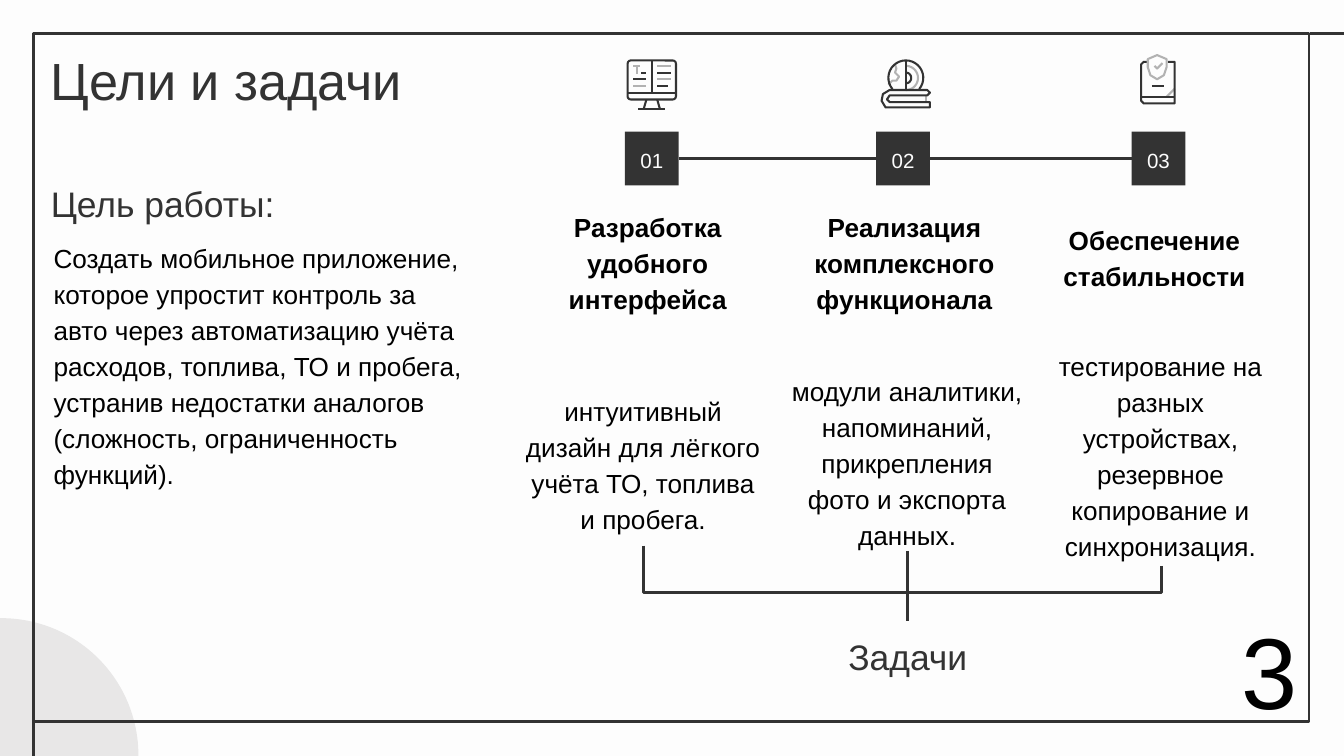
from math import cos, radians, sin

from lxml.etree import SubElement
from pptx import Presentation
from pptx.dml.color import RGBColor
from pptx.enum.shapes import MSO_CONNECTOR as Connector, MSO_SHAPE as Shape
from pptx.enum.text import MSO_ANCHOR as Anchor, PP_ALIGN as Align
from pptx.oxml.ns import qn
from pptx.util import Inches, Pt

DARK = RGBColor(0x33, 0x33, 0x33)
GRAY = RGBColor(0xB2, 0xB2, 0xB2)
PALE = RGBColor(0xE8, 0xE7, 0xE7)
PAPER = RGBColor(0xFD, 0xFD, 0xFD)
BLACK = RGBColor(0, 0, 0)
FONT = "Arial"
FRAME_WIDTH, ICON_WIDTH = 1.5, 1.1
SLIDE_WIDTH = 10
SLIDE_HEIGHT = SLIDE_WIDTH * 9 / 16
NBSP = chr(160)  # keeps two words on one line

GOAL = (f"Создать мобильное приложение, которое{NBSP}упростит контроль за "
        f"авто{NBSP}через автоматизацию учёта расходов, топлива, ТО и пробега, "
        "устранив недостатки аналогов (сложность, ограниченность функций).")

# number, square left, heading and its place, details and their place
TASKS = [
    ("01", 4.65, "Разработка удобного интерфейса", (3.97, 1.99, 1.7, 0.45),
     "интуитивный дизайн для лёгкого учёта ТО, топлива и пробега.",
     (3.81, 2.81, 1.95, 1.25)),
    ("02", 6.52, "Реализация комплексного функционала", (5.88, 1.99, 1.7, 0.45),
     "модули аналитики, напоминаний, прикрепления фото и экспорта данных.",
     (5.77, 2.66, 1.96, 1.44)),
    ("03", 8.42, "Обеспечение стабильности", (7.74, 1.82, 1.7, 0.45),
     "тестирование на разных устройствах, резервное копирование и синхронизация.",
     (7.65, 2.47, 1.97, 1.74)),
]


def inches(values):
    return [Inches(value) for value in values]


def write(shape, text, size, color, align=Align.LEFT, anchor=Anchor.TOP,
          bold=False, spacing=1.15, inset=0.1, wrap=True):
    frame = shape.text_frame
    frame.word_wrap = wrap
    frame.vertical_anchor = anchor
    frame.margin_left = frame.margin_right = Inches(0.1)
    frame.margin_top = frame.margin_bottom = Inches(inset)
    paragraph = frame.paragraphs[0]
    paragraph.alignment = align
    paragraph.line_spacing = spacing
    run = paragraph.add_run()
    run.text = text
    run.font.name, run.font.size, run.font.bold = FONT, Pt(size), bold
    run.font.color.rgb = color


def add_text(slide, box, text, size, color, **options):
    write(slide.shapes.add_textbox(*inches(box)), text, size, color, **options)


def style(shape, fill=None, line=None, width=FRAME_WIDTH):
    shape.shadow.inherit = False
    if fill is None:
        shape.fill.background()
    else:
        shape.fill.solid()
        shape.fill.fore_color.rgb = fill
    if line is None:
        shape.line.fill.background()
    else:
        shape.line.color.rgb = line
        shape.line.width = Pt(width)


def add_preset(slide, kind, box, **look):
    shape = slide.shapes.add_shape(kind, *inches(box))
    style(shape, **look)
    return shape


def add_line(slide, start, end, color=DARK, width=FRAME_WIDTH,
             kind=Connector.STRAIGHT):
    line = slide.shapes.add_connector(kind, *inches(start + end))
    line.line.color.rgb = color
    line.line.width = Pt(width)
    SubElement(line._element.spPr, qn("a:effectLst"))
    return line


def add_bracket(slide, start, end, bend_y):
    """Elbow that leaves downwards, runs level at bend_y and ends downwards."""
    (x1, y1), (x2, y2) = start, end
    length, spread = y2 - y1, abs(x2 - x1)
    elbow = add_line(slide, (0, 0), (length, spread), kind=Connector.ELBOW)
    elbow.left = Inches((x1 + x2 - length) / 2)
    elbow.top = Inches((y1 + y2 - spread) / 2)
    properties = elbow._element.spPr
    transform = properties.find(qn("a:xfrm"))
    rightwards = x2 > x1
    transform.set("rot", str((270 if rightwards else 90) * 60000))
    if rightwards:
        transform.set("flipH", "1")
    geometry = properties.find(qn("a:prstGeom"))
    guides = geometry.find(qn("a:avLst"))
    if guides is None:
        guides = SubElement(geometry, qn("a:avLst"))
    share = round((bend_y - y1) / length * 100000)
    SubElement(guides, qn("a:gd"), name="adj1", fmla=f"val {share}")


def add_stroke(slide, points, color=DARK, close=False):
    """Thin icon stroke through the points."""
    if len(points) == 2:
        add_line(slide, *points, color=color, width=ICON_WIDTH)
        return
    places = [inches(point) for point in points]
    builder = slide.shapes.build_freeform(*places[0], scale=1.0)
    builder.add_line_segments(places[1:], close=close)
    style(builder.convert_to_shape(), line=color, width=ICON_WIDTH)


def arc(x, y, radius, start, end, steps=24):
    angles = [radians(start + (end - start) * i / steps) for i in range(steps + 1)]
    return [(x + radius * cos(a), y + radius * sin(a)) for a in angles]


def draw_monitor_icon(slide):
    screen = add_preset(slide, Shape.ROUNDED_RECTANGLE, (4.67, 0.45, 0.36, 0.29),
                        line=DARK, width=ICON_WIDTH)
    screen.adjustments[0] = 0.08
    for points in ([(4.85, 0.45), (4.85, 0.69)], [(4.67, 0.69), (5.03, 0.69)],
                   [(4.81, 0.74), (4.79, 0.81)], [(4.89, 0.74), (4.91, 0.81)],
                   [(4.75, 0.81), (4.95, 0.81)]):
        add_stroke(slide, points)
    add_stroke(slide, [(4.74, 0.49), (4.74, 0.55)], GRAY)
    for left, right, y, color in (
            (4.71, 4.76, 0.49, GRAY), (4.77, 4.81, 0.54, DARK),
            (4.71, 4.81, 0.59, DARK), (4.71, 4.81, 0.64, GRAY),
            (4.89, 4.99, 0.49, GRAY), (4.89, 4.99, 0.54, DARK),
            (4.89, 4.99, 0.59, GRAY), (4.89, 4.97, 0.64, DARK)):
        add_stroke(slide, [(left, y), (right, y)], color)


def draw_globe_icon(slide):
    center = (6.74, 0.58)
    add_stroke(slide, [(6.66, 0.48), (6.67, 0.51), (6.66, 0.54), (6.69, 0.57),
                       (6.67, 0.6), (6.64, 0.6), (6.61, 0.63)], GRAY)
    add_stroke(slide, arc(*center, 0.09, -90, 90), GRAY)
    add_stroke(slide, arc(*center, 0.13, 140, 400))
    add_stroke(slide, arc(*center, 0.04, -90, 90))
    add_stroke(slide, [(6.74, 0.45), (6.74, 0.67)])
    add_stroke(slide, [(6.89, 0.71), (6.89, 0.76)], GRAY)
    add_stroke(slide, [(6.9, 0.67), (6.62, 0.67), (6.57, 0.7), (6.56, 0.75),
                       (6.59, 0.8), (6.92, 0.8), (6.92, 0.76), (6.62, 0.76),
                       (6.6, 0.74), (6.62, 0.71), (6.9, 0.71), (6.92, 0.69)],
               close=True)


def draw_shield_icon(slide):
    add_stroke(slide, [(8.74, 0.66), (8.68, 0.72)], GRAY)
    add_stroke(slide, [(8.54, 0.46), (8.51, 0.46), (8.49, 0.48), (8.49, 0.75),
                       (8.51, 0.77), (8.74, 0.77), (8.74, 0.46), (8.69, 0.46)])
    add_stroke(slide, [(8.49, 0.72), (8.74, 0.72)])
    add_stroke(slide, [(8.57, 0.64), (8.66, 0.64)])
    add_stroke(slide, [(8.61, 0.41), (8.68, 0.44), (8.68, 0.5), (8.66, 0.56),
                       (8.61, 0.59), (8.56, 0.56), (8.54, 0.5), (8.54, 0.44)],
               GRAY, close=True)
    add_stroke(slide, [(8.59, 0.49), (8.61, 0.51), (8.65, 0.47)], GRAY)


def draw_frame(slide):
    add_preset(slide, Shape.OVAL, (-1.01, 4.6, 2.04, 2.04), fill=PALE)
    add_preset(slide, Shape.RECTANGLE, (0.25, 0.25, 9.49, 5.12), line=DARK)
    add_line(slide, (SLIDE_WIDTH, 0.25), (9.75, 0.25))
    add_line(slide, (0.25, SLIDE_HEIGHT), (0.25, 5.35))


def draw_task(slide, number, left, heading, heading_box, details, details_box):
    add_text(slide, heading_box, heading, 14, BLACK, align=Align.CENTER,
             anchor=Anchor.BOTTOM, bold=True)
    add_text(slide, details_box, details, 14, BLACK, align=Align.CENTER)
    square = add_preset(slide, Shape.RECTANGLE, (left, 0.98, 0.4, 0.4), fill=DARK)
    write(square, number, 11, PAPER, align=Align.CENTER, anchor=Anchor.MIDDLE)


def main():
    deck = Presentation()
    deck.slide_width, deck.slide_height = inches((SLIDE_WIDTH, SLIDE_HEIGHT))
    slide = deck.slides.add_slide(deck.slide_layouts[6])
    slide.background.fill.solid()
    slide.background.fill.fore_color.rgb = PAPER

    draw_frame(slide)
    add_text(slide, (0.28, 0.26, 8.43, 0.63), "Цели и задачи", 28, DARK, spacing=1.0)
    add_text(slide, (0.28, 1.32, 2.41, 0.45), "Цель работы:", 19, DARK,
             anchor=Anchor.BOTTOM)
    add_text(slide, (0.3, 1.67, 3.51, 2.7), GOAL, 14, BLACK)

    add_line(slide, (5.05, 1.18), (8.42, 1.18))
    for task in TASKS:
        draw_task(slide, *task)
    draw_monitor_icon(slide)
    draw_globe_icon(slide)
    draw_shield_icon(slide)

    junction = (6.75, 4.62)
    add_bracket(slide, (4.79, 4.06), junction, 4.41)
    add_line(slide, (6.75, 4.1), junction)
    add_bracket(slide, (8.64, 4.21), junction, 4.41)
    add_text(slide, (5.92, 4.62, 1.67, 0.52), "Задачи", 19, DARK,
             align=Align.CENTER, anchor=Anchor.BOTTOM)
    add_text(slide, (9.14, 4.48, 0.6, 0.4), "3", 54, BLACK, spacing=1.0,
             inset=0.05, wrap=False)
    deck.save("out.pptx")


if __name__ == "__main__":
    main()
